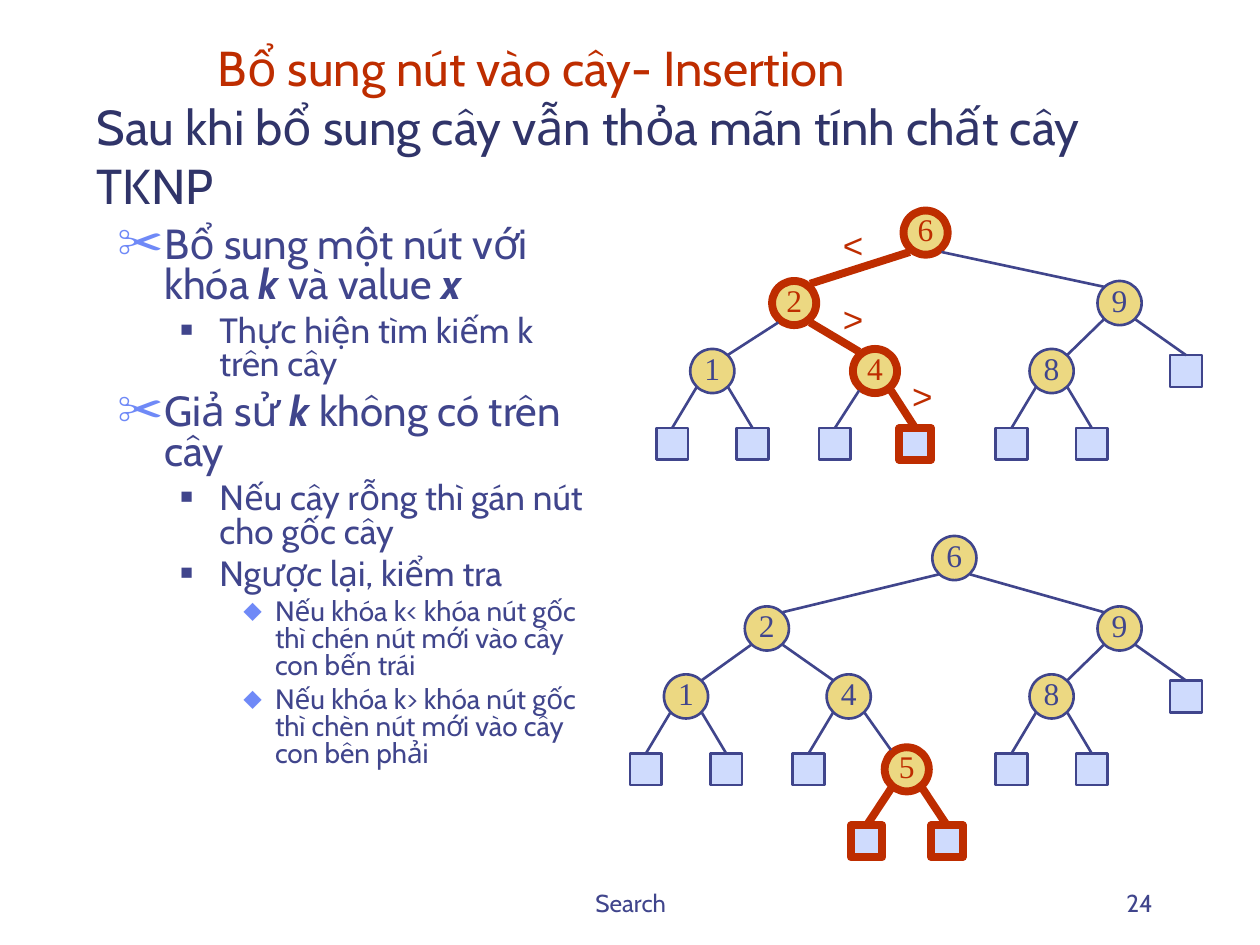
from dataclasses import dataclass

from lxml.etree import SubElement
from pptx import Presentation
from pptx.dml.color import RGBColor
from pptx.enum.shapes import MSO_CONNECTOR, MSO_SHAPE
from pptx.enum.text import MSO_ANCHOR, MSO_AUTO_SIZE, PP_ALIGN
from pptx.oxml.ns import qn
from pptx.util import Cm, Pt

COLORS = {
    "red": "BE2D00", "indigo": "40458C", "navy": "303469",
    "bullet": "6F89F7", "node": "ECD882", "leaf": "CFDBFD",
}
ROWS = [4.69, 6.11, 7.48, 8.95, 10.4]  # centre height of each tree level
CIRCLE, SQUARE, SPREAD = 0.89, 0.64, 0.81
SECOND_TREE_DROP = 6.56

# level: left margin, hanging indent, space before, bullet, colour, percent, size
LEVELS = [
    (0.95, 0.95, 6, "✂", "bullet", 110, 24),
    (2.06, 0.79, 5, "■", "indigo", 60, 20),
    (3.18, 0.64, 4, "⬥", "bullet", 95, 16),
]
# (level, pieces); every second piece is bold italic
BODY = [
    (0, ["Bổ sung một nút với khóa ", "k", " và value ", "x"]),
    (1, ["Thực hiện tìm kiếm k trên cây"]),
    (0, ["Giả sử ", "k", " không có trên cây"]),
    (1, ["Nếu cây rỗng thì gán nút cho gốc cây"]),
    (1, ["Ngược lại, kiểm tra"]),
    (2, ["Nếu khóa k< khóa nút gốc thì chén nút mới vào cây con bến trái"]),
    (2, ["Nếu khóa k> khóa nút gốc thì chèn nút mới vào cây con bên phải"]),
]


@dataclass
class Node:
    """A tree node centred at x; one without a key is an empty leaf."""
    x: float
    key: str = ""
    children: tuple = ()
    marked: bool = False


def leaves(x, marked=False):
    return Node(x - SPREAD, marked=marked), Node(x + SPREAD, marked=marked)


RIGHT_BRANCH = Node(22.57, "9", (Node(21.2, "8", leaves(21.2)), Node(23.91)))
SEARCH_TREE = Node(18.66, "6", (
    Node(16.01, "2", (
        Node(14.36, "1", leaves(14.36)),
        Node(17.64, "4", (Node(17.64 - SPREAD), Node(17.64 + SPREAD, marked=True)), True),
    ), True),
    RIGHT_BRANCH,
), True)
INSERTED_TREE = Node(19.24, "6", (
    Node(15.46, "2", (
        Node(13.83, "1", leaves(13.83)),
        Node(17.11, "4", (
            Node(17.11 - SPREAD),
            Node(18.28, "5", leaves(18.28, True), True),
        )),
    )),
    RIGHT_BRANCH,
))
COMPARISONS = [("<", 16.74, 4.39), (">", 16.74, 5.87), (">", 18.14, 7.42)]


def rgb(name):
    return RGBColor.from_string(COLORS[name])


def add_span(para, text, color, **formats):
    span = para.add_run()
    span.text = text
    span.font.color.rgb = rgb(color)
    for name, value in formats.items():
        setattr(span.font, name, value)


def set_frame(frame, **formats):
    for name, value in formats.items():
        setattr(frame, name, value)


def place(box, left, top, width, height):
    box.left, box.top, box.width, box.height = map(Cm, (left, top, width, height))


def add_label(shapes, text, position, align, **formats):
    box = shapes.add_textbox(*map(Cm, position))
    para = box.text_frame.paragraphs[0]
    para.alignment = align
    add_span(para, text, **formats)
    return box.text_frame


def fill_title(title):
    place(title, 1.7, 1.27, 21.59, 3.18)
    set_frame(title.text_frame, vertical_anchor=MSO_ANCHOR.BOTTOM,
              auto_size=MSO_AUTO_SIZE.NONE, word_wrap=True)
    para = title.text_frame.paragraphs[0]
    para.alignment = PP_ALIGN.LEFT
    para._p.get_or_add_pPr().set("indent", str(Cm(2.44)))
    formats = {"size": Pt(28), "name": "Cabin"}
    add_span(para, "Bổ sung nút vào cây- Insertion", "red", **formats)
    para.add_line_break()
    add_span(para, "Sau khi bổ sung cây vẫn thỏa mãn tính chất cây TKNP", "navy", **formats)


def set_bullet(para, margin, hanging, char, color, percent):
    properties = para._p.get_or_add_pPr()
    properties.set("marL", str(Cm(margin)))
    properties.set("indent", str(-Cm(hanging)))
    tint = SubElement(properties, qn("a:buClr"))
    SubElement(tint, qn("a:srgbClr"), val=COLORS[color])
    SubElement(properties, qn("a:buSzPct"), val=str(percent * 1000))
    SubElement(properties, qn("a:buChar"), char=char)


def fill_body(body):
    place(body, 2.11, 4.45, 10.16, 12.06)
    frame = body.text_frame
    set_frame(frame, auto_size=MSO_AUTO_SIZE.NONE, word_wrap=True)
    for index, (level, pieces) in enumerate(BODY):
        margin, hanging, before, char, color, percent, size = LEVELS[level]
        para = frame.add_paragraph() if index else frame.paragraphs[0]
        set_frame(para, level=level, line_spacing=0.8, space_before=Pt(before))
        set_bullet(para, margin, hanging, char, color, percent)
        for number, piece in enumerate(pieces):
            strong = number % 2 == 1
            add_span(para, piece, "indigo", size=Pt(size), name="Cabin",
                     bold=strong, italic=strong)


def set_line(line, marked):
    line.color.rgb = rgb("red" if marked else "indigo")
    line.width = Pt(4.5 if marked else 1.5)


def add_node(group, node, y):
    kind, side, fill = ((MSO_SHAPE.OVAL, CIRCLE, "node") if node.key
                        else (MSO_SHAPE.RECTANGLE, SQUARE, "leaf"))
    shape = group.shapes.add_shape(
        kind, Cm(node.x - side / 2), Cm(y - side / 2), Cm(side), Cm(side))
    shape.shadow.inherit = False
    shape.fill.solid()
    shape.fill.fore_color.rgb = rgb(fill)
    set_line(shape.line, node.marked)
    if node.key:
        set_frame(shape.text_frame, margin_left=0, margin_right=0, margin_top=0,
                  margin_bottom=Cm(0.13), word_wrap=False,
                  vertical_anchor=MSO_ANCHOR.MIDDLE)
        para = shape.text_frame.paragraphs[0]
        para.alignment = PP_ALIGN.CENTER
        add_span(para, node.key, "red" if node.marked else "indigo",
                 size=Pt(18), name="Times New Roman")
    return shape


def rim(node, y, across, down):
    """Point on a circle's rim; across and down are -1 or 1."""
    return node.x + across * 0.32, y + down * (0.39 if node.marked else 0.33)


def add_edge(group, parent, parent_y, child, child_y, child_shape):
    across = 1 if child.x > parent.x else -1
    start = rim(parent, parent_y, across, 1)
    end = rim(child, child_y, -across, -1)
    edge = group.shapes.add_connector(MSO_CONNECTOR.STRAIGHT, *map(Cm, start + end))
    if not child.key:
        edge.end_connect(child_shape, 0)
    SubElement(edge._element.spPr, qn("a:effectLst"))
    set_line(edge.line, parent.marked and child.marked)


def draw_tree(group, node, drop=0, depth=0):
    y = ROWS[depth] + drop
    shape = add_node(group, node, y)
    for child in node.children:
        child_shape = draw_tree(group, child, drop, depth + 1)
        add_edge(group, node, y, child, ROWS[depth + 1] + drop, child_shape)
    return shape


def main():
    deck = Presentation()
    deck.slide_width, deck.slide_height = Cm(25.4), Cm(19.05)
    page = deck.slides.add_slide(deck.slide_layouts[1])
    fill_title(page.shapes.title)
    fill_body(page.placeholders[1])

    search = page.shapes.add_group_shape()
    draw_tree(search, SEARCH_TREE)
    for sign, left, top in COMPARISONS:
        frame = add_label(search.shapes, sign, (left, top, 0.91, 1.12), PP_ALIGN.CENTER,
                          color="red", size=Pt(20), name="Arial")
        set_frame(frame, word_wrap=False, auto_size=MSO_AUTO_SIZE.SHAPE_TO_FIT_TEXT)
    draw_tree(page.shapes.add_group_shape(), INSERTED_TREE, SECOND_TREE_DROP)

    for text, left, width, align in [("Search", 8.69, 8.05, PP_ALIGN.CENTER),
                                     ("24", 18.21, 5.28, PP_ALIGN.RIGHT)]:
        frame = add_label(page.shapes, text, (left, 17.35, width, 1.27), align,
                          color="indigo", size=Pt(14), name="Cabin")
        set_frame(frame, word_wrap=True, vertical_anchor=MSO_ANCHOR.BOTTOM)
    deck.save("out.pptx")


if __name__ == "__main__":
    main()
